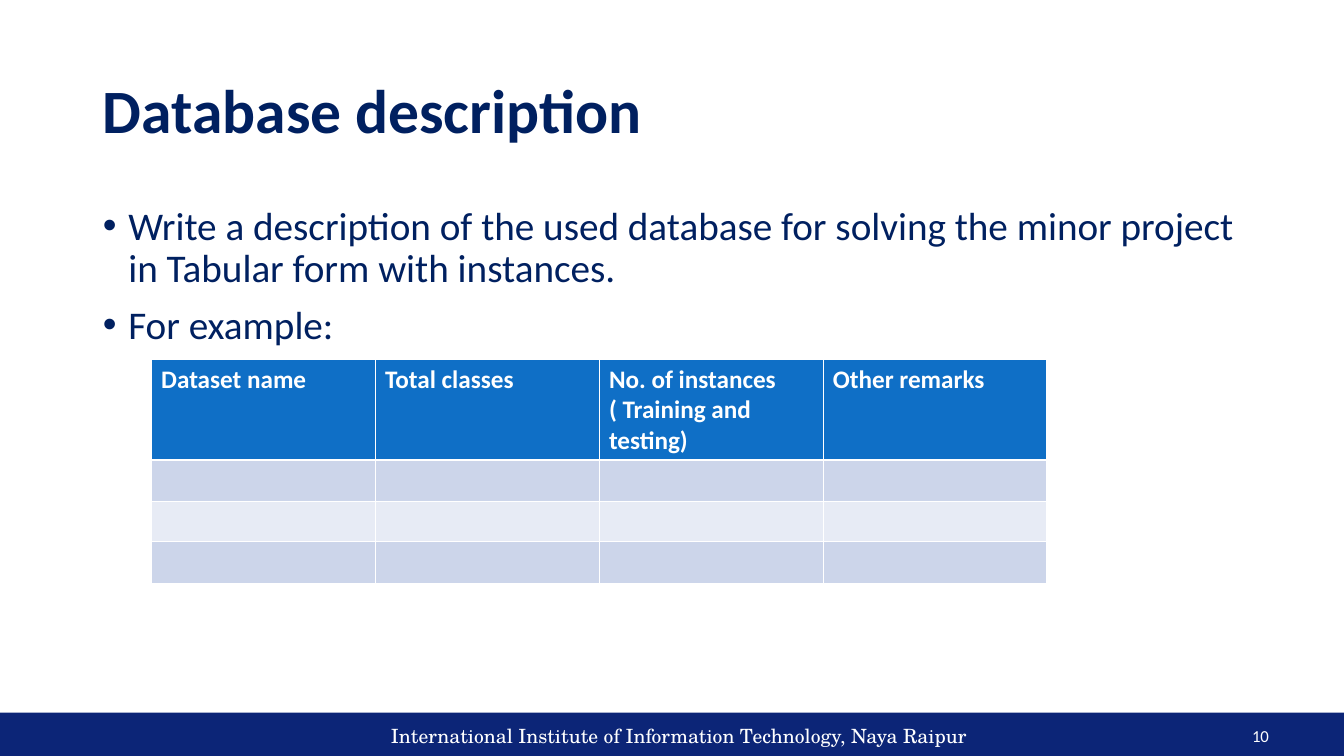
"""Build the database description slide with its example table."""
from dataclasses import dataclass

from lxml import etree
from pptx import Presentation
from pptx import util as u
from pptx.dml.color import RGBColor
from pptx.enum import shapes, text
from pptx.oxml import ns


@dataclass(frozen=True)
class Theme:
    """Colours, fonts and type sizes of the slide."""
    navy: str = "002060"
    bar: str = "0C2577"
    header: str = "0F6FC6"
    band_dark: str = "CCD5EA"
    band_light: str = "E7EBF5"
    white: str = "FFFFFF"
    sans: str = "Calibri"
    serif: str = "TeX Gyre Schola"
    title: int = 44
    body: int = 28
    table: int = 18
    footer: int = 14
    number: int = 12


THEME = Theme()
HEADINGS = ("Dataset name", "Total classes",
            "No. of instances ( Training and testing)", "Other remarks")
POINTS = ("Write a description of the used database for solving the minor "
          "project in Tabular form with instances.", "For example:")


def apply(target, formats):
    """Set each named attribute of the target."""
    for name, value in formats.items():
        setattr(target, name, value)


def area(left, top, width, height):
    """Return a place in centimetres as shape attributes."""
    return dict(left=u.Cm(left), top=u.Cm(top),
                width=u.Cm(width), height=u.Cm(height))


def add_xml(parent, tag, **attributes):
    """Append one drawing element to the parent."""
    return etree.SubElement(parent, ns.qn(tag), attributes)


def write(para, words, size, colour, font=THEME.sans, bold=False, **formats):
    """Write one formatted span into a paragraph."""
    span = para.add_run()
    span.text = words
    apply(span.font, dict(name=font, size=u.Pt(size), bold=bold))
    span.font.color.rgb = RGBColor.from_string(colour)
    apply(para, formats)


def paint(target, colour):
    """Give a shape or cell a solid fill."""
    target.fill.solid()
    target.fill.fore_color.rgb = RGBColor.from_string(colour)


def add_title(page, words):
    """Place the title."""
    box = page.shapes.title
    apply(box, area(2.34, 1.02, 29.21, 3.68))
    apply(box.text_frame, dict(auto_size=text.MSO_AUTO_SIZE.NONE,
                               vertical_anchor=text.MSO_ANCHOR.MIDDLE))
    write(box.text_frame.paragraphs[0], words, THEME.title, THEME.navy,
          bold=True, alignment=text.PP_ALIGN.LEFT, line_spacing=0.9)


def add_bullets(page, points):
    """Fill the body placeholder with a bulleted list."""
    box = page.placeholders[1]
    apply(box, area(2.34, 5.08, 29.21, 12.09))
    frame = box.text_frame
    frame.auto_size = text.MSO_AUTO_SIZE.NONE
    indent = u.Cm(0.64)
    for index, words in enumerate(points):
        para = frame.add_paragraph() if index else frame.paragraphs[0]
        props = para._p.get_or_add_pPr()
        props.set("marL", str(indent))
        props.set("indent", str(-indent))
        add_xml(add_xml(props, "a:buClr"), "a:srgbClr", val=THEME.navy)
        add_xml(props, "a:buFont", typeface="Arial")
        add_xml(props, "a:buChar", char="•")
        write(para, words, THEME.body, THEME.navy, line_spacing=0.9,
              space_before=u.Pt(10 if index else 0))


def add_bar(page):
    """Draw the footer band."""
    bar = page.shapes.add_shape(shapes.MSO_SHAPE.RECTANGLE,
                                **area(0, 17.96, 33.88, 1.09))
    bar.shadow.inherit = False
    paint(bar, THEME.bar)
    bar.line.fill.background()


def add_label(page, place, words, size, font, alignment):
    """Add a white footer label."""
    frame = page.shapes.add_textbox(**place).text_frame
    apply(frame, dict(word_wrap=True, vertical_anchor=text.MSO_ANCHOR.MIDDLE))
    write(frame.paragraphs[0], words, size, THEME.white, font,
          alignment=alignment)


def style_cell(cell, colour, widths):
    """Set a cell's white borders and its fill."""
    props = cell._tc.get_or_add_tcPr()
    for side, width in zip("LRTB", widths):
        line = add_xml(props, f"a:ln{side}", w=str(u.Pt(width)))
        add_xml(add_xml(line, "a:solidFill"), "a:srgbClr", val=THEME.white)
    paint(cell, colour)


def add_dataset_table(page):
    """Add the table with a header and three empty banded rows."""
    heights = (2.54, 1.04, 1.02, 1.04)
    fills = (THEME.header, THEME.band_dark, THEME.band_light, THEME.band_dark)
    thin, thick = 0.45, 1.47
    table = page.shapes.add_table(len(heights), len(HEADINGS),
                                  **area(3.81, 9.05, 22.58, 5.64)).table
    for index, (row, height) in enumerate(zip(table.rows, heights)):
        row.height = u.Cm(height)
        widths = (thin, thin, thick if index == 1 else thin,
                  thick if index == 0 else thin)
        for cell in row.cells:
            style_cell(cell, fills[index], widths)
    for cell, words in zip(table.rows[0].cells, HEADINGS):
        write(cell.text_frame.paragraphs[0], words, THEME.table, THEME.white,
              bold=True)


def main():
    """Build and save the deck."""
    deck = Presentation()
    apply(deck, dict(slide_width=u.Cm(33.88), slide_height=u.Cm(19.05)))
    page = deck.slides.add_slide(deck.slide_layouts[1])
    add_bar(page)
    add_title(page, "Database description")
    add_bullets(page, POINTS)
    add_label(page, area(7.95, 18.03, 18.34, 1.02),
              "International Institute of Information Technology, Naya Raipur",
              THEME.footer, THEME.serif, text.PP_ALIGN.CENTER)
    add_label(page, area(26.75, 18.03, 5.49, 1.02), "10",
              THEME.number, THEME.sans, text.PP_ALIGN.RIGHT)
    add_dataset_table(page)
    deck.save("out.pptx")


if __name__ == "__main__":
    main()
